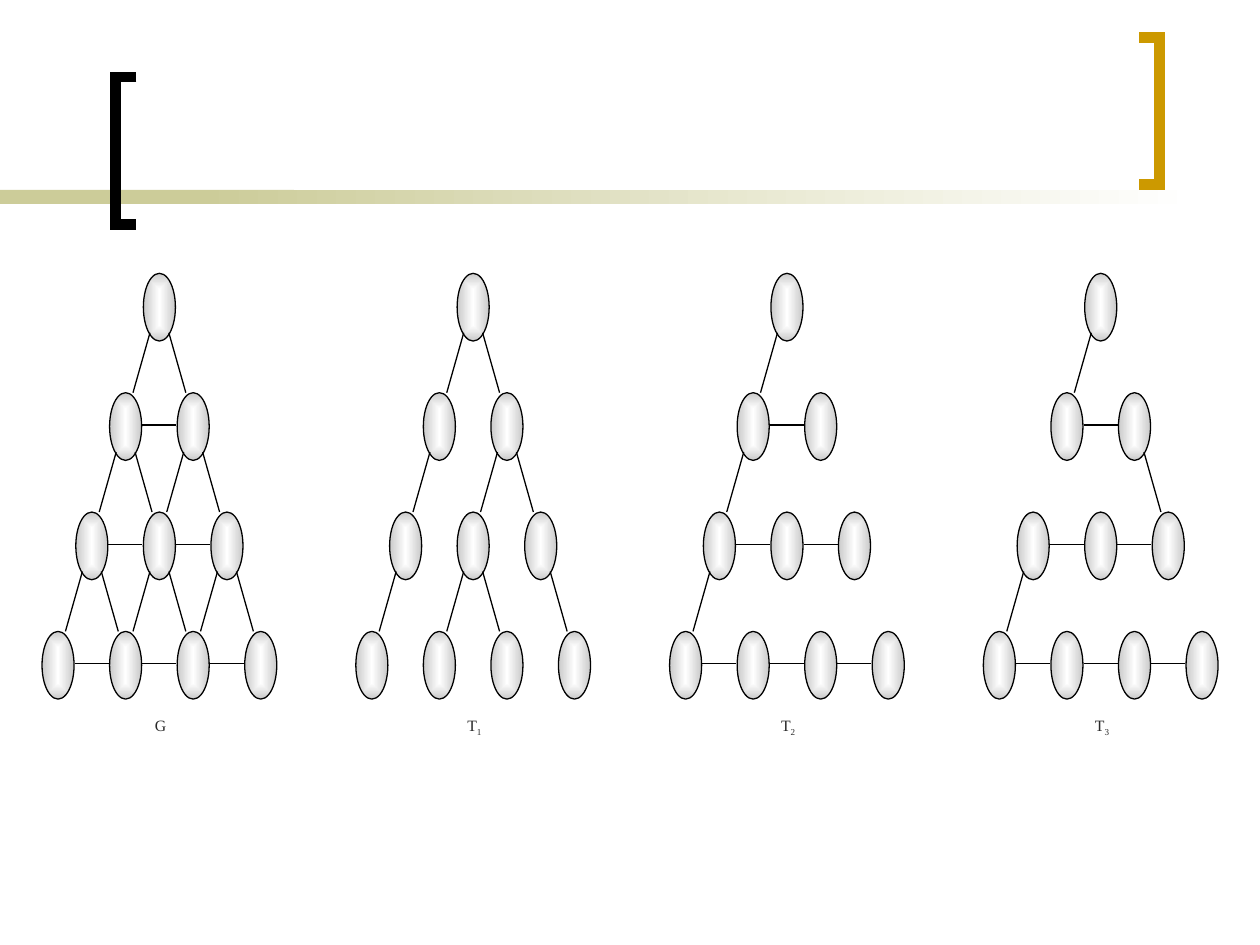
"""Draw a four-row graph G and three of its spanning trees."""
from dataclasses import dataclass

from lxml.etree import SubElement
from pptx import Presentation
from pptx.dml.color import RGBColor as Rgb
from pptx.enum.shapes import MSO_CONNECTOR as Link, MSO_SHAPE as Kind
from pptx.enum.text import PP_ALIGN as Align
from pptx.oxml import parse_xml
from pptx.oxml.ns import nsdecls, qn
from pptx.shapes.shapetree import GroupShapes, SlideShapes
from pptx.util import Pt

Point = tuple[float, float]


@dataclass(frozen=True)
class Theme:
    """Colours, type and line weights."""
    ink: Rgb = Rgb(0, 0, 0)
    gold: Rgb = Rgb(0xCC, 0x99, 0x00)
    sand: Rgb = Rgb(0xCC, 0xCC, 0x99)
    white: Rgb = Rgb(0xFF, 0xFF, 0xFF)
    gray: Rgb = Rgb(0xCA, 0xCA, 0xCA)
    text: Rgb = Rgb(0x29, 0x29, 0x29)
    font: str = "Times New Roman"
    size: float = 9
    thin: float = 0.75
    thick: float = 6


@dataclass(frozen=True)
class Grid:
    """Spacing of the nodes in a tree."""
    left: float = 91.1
    top: float = 156.2
    tree: float = 179.3
    col: float = 38.6
    row: float = 68.2
    wide: float = 18.3
    high: float = 38.7
    rows: int = 4

    def node(self, apex: float, row: int, col: int) -> Point:
        """Return the top centre of a node."""
        return apex + (col - row / 2) * self.col, self.top + row * self.row


@dataclass(frozen=True)
class Tree:
    """A label, the edges down from each node, and whether rows are joined."""
    name: str
    sub: str
    down: tuple[tuple[str, ...], ...]
    across: bool


THEME = Theme()
GRID = Grid()
TREES = (
    Tree("G", "", (("LR",), ("LR",) * 2, ("LR",) * 3), True),
    Tree("T", "1", (("LR",), ("L", "LR"), ("L", "LR", "R")), False),
    Tree("T", "2", (("L",), ("L", ""), ("L", "", "")), True),
    Tree("T", "3", (("L",), ("", "R"), ("L", "", "")), True),
)


def add_bar(shapes: SlideShapes, left: float, wide: float, fade: bool) -> None:
    """Draw one part of the rule, plain or fading to white."""
    bar = shapes.add_shape(Kind.RECTANGLE, Pt(left), Pt(108.6), Pt(wide), Pt(8))
    bar.shadow.inherit = False
    bar.line.fill.background()
    if fade:
        bar.fill.gradient()
        bar.fill.gradient_angle = 0
        for stop, tint in zip(bar.fill.gradient_stops, (THEME.sand, THEME.white)):
            stop.color.rgb = tint
    else:
        bar.fill.solid()
        bar.fill.fore_color.rgb = THEME.sand


def add_hook(shapes: SlideShapes, tip: float, spine: float, top: float, tint: Rgb) -> None:
    """Draw a square bracket with its two tips at one x and its spine at another."""
    low = top + 84.2
    pen = shapes.build_freeform(Pt(tip), Pt(top))
    pen.add_line_segments([(Pt(spine), Pt(top)), (Pt(spine), Pt(low)), (Pt(tip), Pt(low))], close=False)
    hook = pen.convert_to_shape()
    hook.shadow.inherit = False
    hook.fill.background()
    hook.line.color.rgb = tint
    hook.line.width = Pt(THEME.thick)
    SubElement(hook.line._get_or_add_ln(), qn("a:miter"), lim="800000")


def add_node(shapes: GroupShapes, spot: Point) -> None:
    """Draw a shaded oval hung from its top centre."""
    x, y = spot
    oval = shapes.add_shape(Kind.OVAL, Pt(x - GRID.wide / 2), Pt(y), Pt(GRID.wide), Pt(GRID.high))
    oval.shadow.inherit = False
    oval.line.color.rgb = THEME.ink
    oval.line.width = Pt(THEME.thin)
    oval.fill.gradient()
    for stop, tint in zip(oval.fill.gradient_stops, (THEME.white, THEME.gray)):
        stop.color.rgb = tint
    grad = oval._element.spPr.find(qn("a:gradFill"))
    grad.replace(grad.find(qn("a:lin")), parse_xml(
        f'<a:path {nsdecls("a")} path="rect">'
        '<a:fillToRect l="50000" t="50000" r="50000" b="50000"/></a:path>'))


def add_edge(shapes: GroupShapes, start: Point, end: Point) -> None:
    """Draw a thin line between two points."""
    edge = shapes.add_connector(Link.STRAIGHT, *map(Pt, start + end))
    edge.line.color.rgb = THEME.ink
    edge.line.width = Pt(THEME.thin)
    SubElement(edge._element.spPr, qn("a:effectLst"))


def add_label(shapes: GroupShapes, apex: float, tree: Tree) -> None:
    """Write the name of a tree with its subscript."""
    box = shapes.add_textbox(Pt(apex - 29.2), Pt(405.4), Pt(59.8), Pt(62.6))
    box.text_frame.word_wrap = True
    line = box.text_frame.paragraphs[0]
    line.alignment = Align.CENTER
    for text, base in ((tree.name, 0), (tree.sub, -25000)):
        if text:
            run = line.add_run()
            run.text = text
            run.font.name = THEME.font
            run.font.size = Pt(THEME.size)
            run.font.color.rgb = THEME.text
            if base:
                run._r.get_or_add_rPr().set("baseline", str(base))


def add_tree(shapes: GroupShapes, apex: float, tree: Tree) -> None:
    """Draw the nodes, edges and label of one tree."""
    for row in range(GRID.rows):
        for col in range(row + 1):
            x, y = GRID.node(apex, row, col)
            add_node(shapes, (x, y))
            if tree.across and col < row:
                mid = y + GRID.high / 2 - 0.8
                add_edge(shapes, (x + 9.5, mid), (x + GRID.col - 9.7, mid))
    for row, line in enumerate(tree.down):
        for col, sides in enumerate(line):
            x, y = GRID.node(apex, row, col)
            for side in sides:
                step, sign = (0, -1) if side == "L" else (1, 1)
                kid, low = GRID.node(apex, row + 1, col + step)
                add_edge(shapes, (x + sign * 5.4, y + 34), (kid - sign * 4.2, low))
    add_label(shapes, apex, tree)


def main() -> None:
    """Build and save the slide."""
    deck = Presentation()
    deck.slide_width, deck.slide_height = Pt(720), Pt(540)
    shapes = deck.slides.add_slide(deck.slide_layouts[6]).shapes
    add_bar(shapes, 0, 168, False)
    add_bar(shapes, 114, 570, True)
    add_hook(shapes, 78, 66, 44, THEME.ink)
    add_hook(shapes, 651, 662.6, 21.4, THEME.gold)
    for place, tree in enumerate(TREES):
        add_tree(shapes.add_group_shape().shapes, GRID.left + place * GRID.tree, tree)
    deck.save("out.pptx")


if __name__ == "__main__":
    main()
